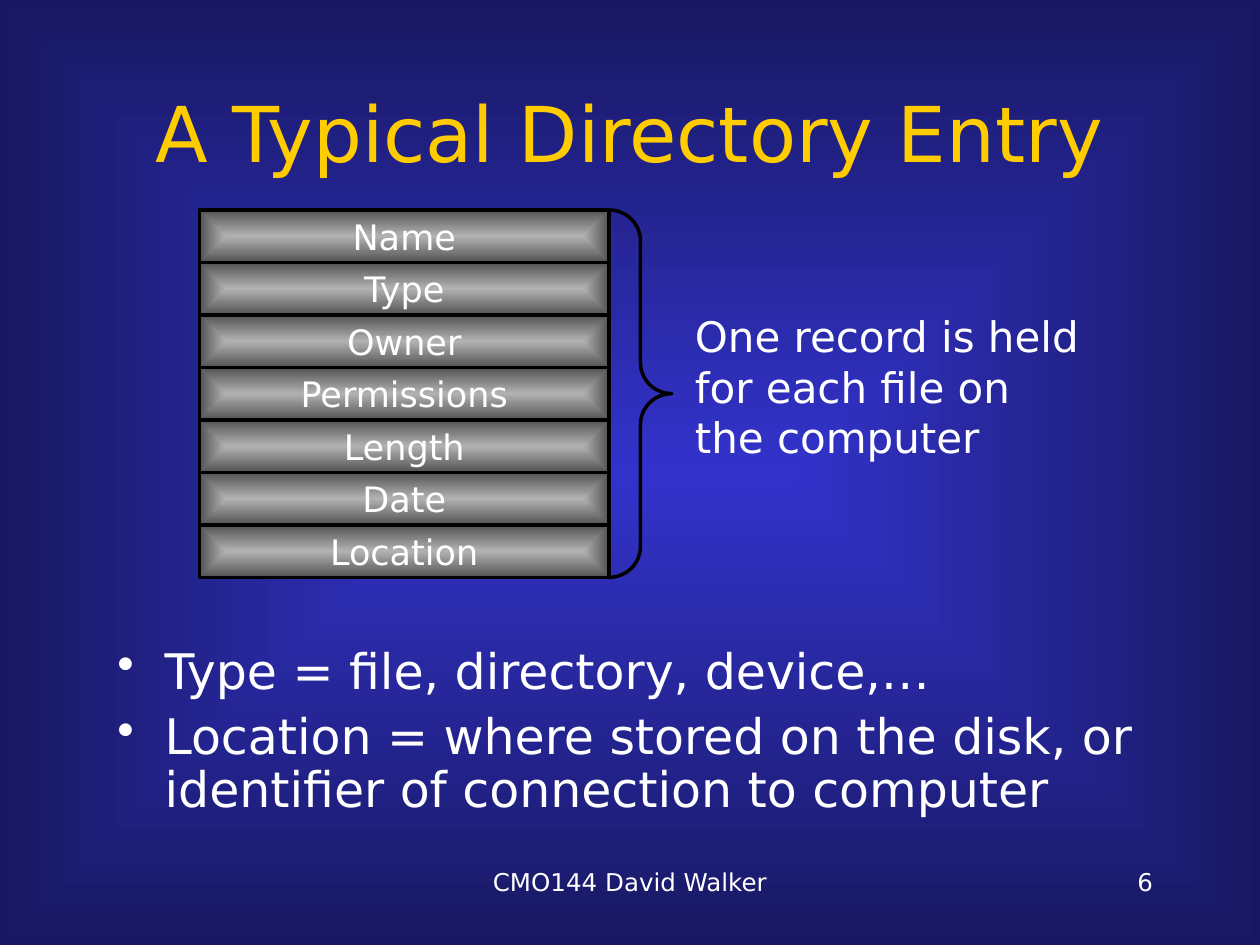
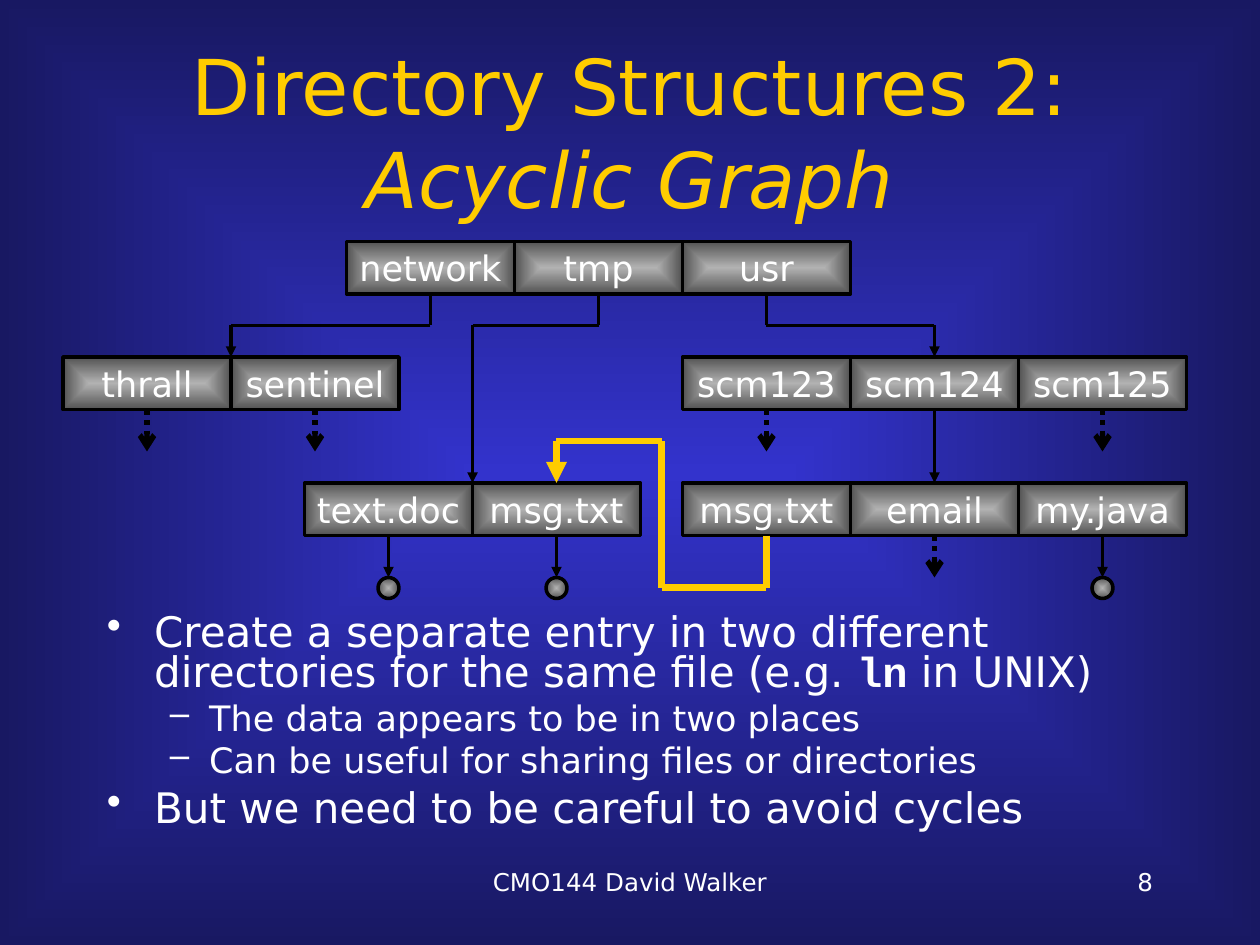
from itertools import pairwise

from pptx import Presentation
from pptx.dml.color import RGBColor
from pptx.enum.dml import MSO_LINE
from pptx.enum.shapes import MSO_CONNECTOR, MSO_SHAPE
from pptx.enum.text import MSO_ANCHOR, PP_ALIGN
from pptx.oxml.ns import qn
from pptx.util import Pt

# Shared look
LEFT, MID, RIGHT = PP_ALIGN.LEFT, PP_ALIGN.CENTER, PP_ALIGN.RIGHT
TOP, CENTRE = MSO_ANCHOR.TOP, MSO_ANCHOR.MIDDLE
RECT, OVAL, BRACE = MSO_SHAPE.RECTANGLE, MSO_SHAPE.OVAL, MSO_SHAPE.RIGHT_BRACE
STRAIGHT, DOTS = MSO_CONNECTOR.STRAIGHT, MSO_LINE.ROUND_DOT
WHITE, GOLD, BLACK = "FFFFFF", "FFCC00", "000000"
BLUE, NAVY = "3333CC", "181862"
SILVER, GREY = "B2B2B2", "525252"
SANS, MONO = "DejaVu Sans", "Courier New"
ROW = 30     # height of every entry box
CELL = 96    # width of a box in the graph
BALL = 12    # diameter of a file dot
hue = RGBColor.from_string


def glow(fill, root, inner, outer):
    """Fill with a rectangular gradient that spreads from the centre."""
    fill.gradient()
    for stop, tone in zip(fill.gradient_stops, (inner, outer)):
        stop.color.rgb = hue(tone)
    lin = root.find(".//" + qn("a:lin"))
    ring = lin.makeelement(qn("a:path"), {"path": "rect"})
    sides = dict.fromkeys("ltrb", "50000")
    ring.append(ring.makeelement(qn("a:fillToRect"), sides))
    lin.getparent().replace(lin, ring)


def say(par, runs, size, tone=WHITE, align=LEFT):
    """Add runs of (text, style); a style of "break" starts a new line first."""
    par.alignment = align
    for text, style in runs:
        if "break" in style:
            par.add_line_break()
        run = par.add_run()
        run.text = text
        font = run.font
        font.name = MONO if "mono" in style else SANS
        font.size = Pt(size)
        font.bold = "bold" in style
        font.italic = "italic" in style
        font.color.rgb = hue(tone)


# Level: bullet, margin, hanging indent
MARKS = [("•", 27, 27), ("–", 58.5, 22.5)]

# Body lines: level, size, space before, runs
pages = [
    dict(
        number="6",
        title=[("A Typical Directory Entry", "")],
        place=(60, 366, 606, 114),
        pitch=0.9,
        body=[
            (0, 28, 7, [("Type = file, directory, device,…", "")]),
            (0, 28, 7, [("Location = where stored on the disk, or "
                         "identifier of connection to computer", "")]),
        ],
        boxes=[(114, 120 + ROW * i, 234, [name]) for i, name in enumerate(
            ["Name", "Type", "Owner", "Permissions", "Length", "Date",
             "Location"])],
        balls=[],
        routes=[],
    ),
    dict(
        number="8",
        title=[("Directory Structures 2:", ""),
               ("Acyclic Graph", "break italic")],
        place=(54, 348, 612, 132),
        pitch=0.8,
        body=[
            (0, 24, 6, [("Create a separate entry in two different "
                         "directories for the same file (e.g. ", ""),
                        ("ln", "mono bold"), (" in UNIX)", "")]),
            (1, 20, 5, [("The data appears to be in two places", "")]),
            (1, 20, 5, [("Can be useful for sharing files or directories",
                         "")]),
            (0, 24, 6, [("But we need to be careful to avoid cycles", "")]),
        ],
        boxes=[
            (198, 138, CELL, ["network", "tmp", "usr"]),
            (36, 204, CELL, ["thrall", "sentinel"]),
            (390, 204, CELL, ["scm123", "scm124", "scm125"]),
            (174, 276, CELL, ["text.doc", "msg.txt"]),
            (390, 276, CELL, ["msg.txt", "email", "my.java"]),
        ],
        balls=[(222, 330), (318, 330), (630, 330)],
        routes=[
            # Directories to their contents
            ("tree", [(246, 168), (246, 186), (132, 186), (132, 204)]),
            ("tree", [(342, 168), (342, 186), (270, 186), (270, 276)]),
            ("tree", [(438, 168), (438, 186), (534, 186), (534, 204)]),
            ("tree", [(534, 234), (534, 276)]),
            # Files to their data
            *[("tree", [(x, 306), (x, 330)]) for x in (222, 318, 630)],
            # Branches that go on
            *[("more", [(x, y), (x, y + 24)]) for x, y in
              [(84, 234), (180, 234), (438, 234), (630, 234), (534, 306)]],
            # Shared file
            ("link", [(438, 306), (438, 336), (378, 336), (378, 252),
                      (318, 252), (318, 276)]),
        ],
    ),
]

# Route style: colour, width, dash, arrowhead
ROUTES = {
    "tree": (BLACK, 2, None, "triangle"),
    "more": (BLACK, 3, DOTS, "arrow"),
    "link": (GOLD, 4, None, "triangle"),
}

deck = Presentation()
deck.slide_width, deck.slide_height = Pt(720), Pt(540)

for page in pages:
    slide = deck.slides.add_slide(deck.slide_layouts[6])
    shapes = slide.shapes
    glow(slide.background.fill, slide.element, BLUE, NAVY)

    # Title and footers
    for place, anchor, runs, size, tone, align in [
        ((54, 30, 612, 90), CENTRE, page["title"], 44, GOLD, MID),
        ((246, 492, 228, 36), TOP, [("CMO144 David Walker", "")], 14, WHITE, MID),
        ((516, 492, 150, 36), TOP, [(page["number"], "")], 14, WHITE, RIGHT),
    ]:
        frame = shapes.add_textbox(*map(Pt, place)).text_frame
        frame.word_wrap = True
        frame.vertical_anchor = anchor
        say(frame.paragraphs[0], runs, size, tone, align)

    # Bulleted body
    frame = shapes.add_textbox(*map(Pt, page["place"])).text_frame
    frame.word_wrap = True
    for i, (level, size, gap, runs) in enumerate(page["body"]):
        par = frame.add_paragraph() if i else frame.paragraphs[0]
        say(par, runs, size)
        par.level = level
        par.line_spacing = page["pitch"]
        par.space_before = Pt(gap)
        mark, margin, hang = MARKS[level]
        props = par._p.get_or_add_pPr()
        props.set("marL", str(Pt(margin)))
        props.set("indent", str(-Pt(hang)))
        props.append(props.makeelement(qn("a:buChar"), {"char": mark}))

    # Entry boxes and file dots
    parts = [(RECT, x + w * i, y, w, ROW, name)
             for x, y, w, names in page["boxes"]
             for i, name in enumerate(names)]
    parts += [(OVAL, x - BALL // 2, y, BALL, BALL, "")
              for x, y in page["balls"]]
    ports = {}
    for kind, x, y, w, h, name in parts:
        box = shapes.add_shape(kind, Pt(x), Pt(y), Pt(w), Pt(h))
        box.shadow.inherit = False
        glow(box.fill, box.element, SILVER, GREY)
        box.line.color.rgb = hue(BLACK)
        box.line.width = Pt(2)
        ports[x + w // 2, y] = box, 0
        if name:
            ports[x + w // 2, y + h] = box, 2
            box.text_frame.word_wrap = False
            box.text_frame.vertical_anchor = CENTRE
            say(box.text_frame.paragraphs[0], [(name, "")], 20, WHITE, MID)

    # Routes, with an arrowhead on the last leg
    for style, points in page["routes"]:
        tone, width, dash, head = ROUTES[style]
        for start, end in pairwise(points):
            leg = shapes.add_connector(STRAIGHT, *map(Pt, start + end))
            if start in ports:
                leg.begin_connect(*ports[start])
            if end in ports:
                leg.end_connect(*ports[end])
            leg.line.color.rgb = hue(tone)
            leg.line.width = Pt(width)
            if dash:
                leg.line.dash_style = dash
            props = leg.element.spPr
            if end == points[-1]:
                stroke = props.find(qn("a:ln"))
                stroke.append(stroke.makeelement(qn("a:tailEnd"), {"type": head}))
            props.append(props.makeelement(qn("a:effectLst"), {}))

# Brace and note beside the record
shapes = deck.slides[0].shapes
brace = shapes.add_shape(BRACE, Pt(348), Pt(120), Pt(36), Pt(7 * ROW))
brace.shadow.inherit = False
brace.adjustments[0] = 0.49
brace.fill.background()
brace.line.color.rgb = hue(BLACK)
brace.line.width = Pt(2)
frame = shapes.add_textbox(Pt(390), Pt(174), Pt(234), Pt(94)).text_frame
frame.word_wrap = True
say(frame.paragraphs[0],
    [("One record is held for each file on the computer", "")], 24)

deck.save("out.pptx")
